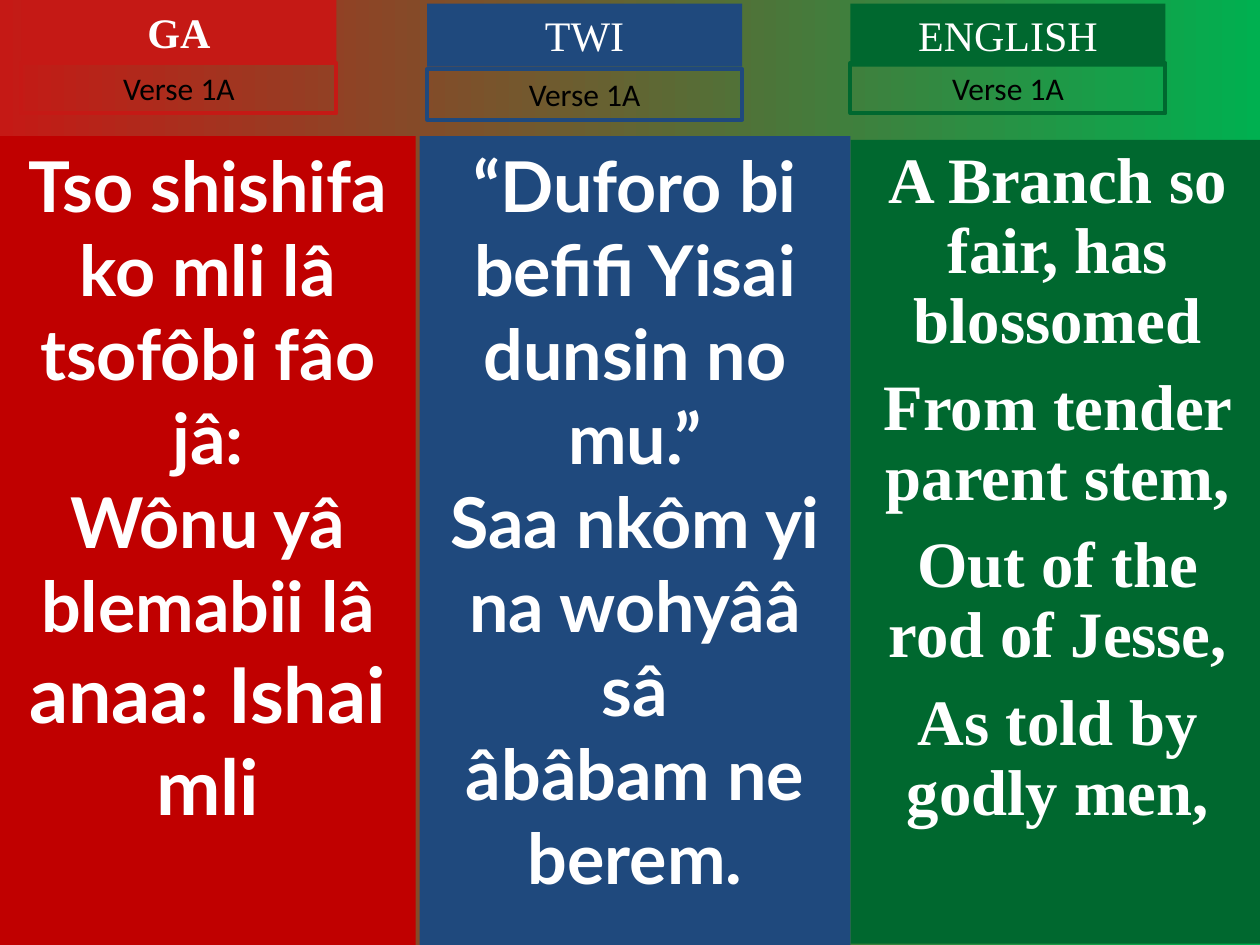
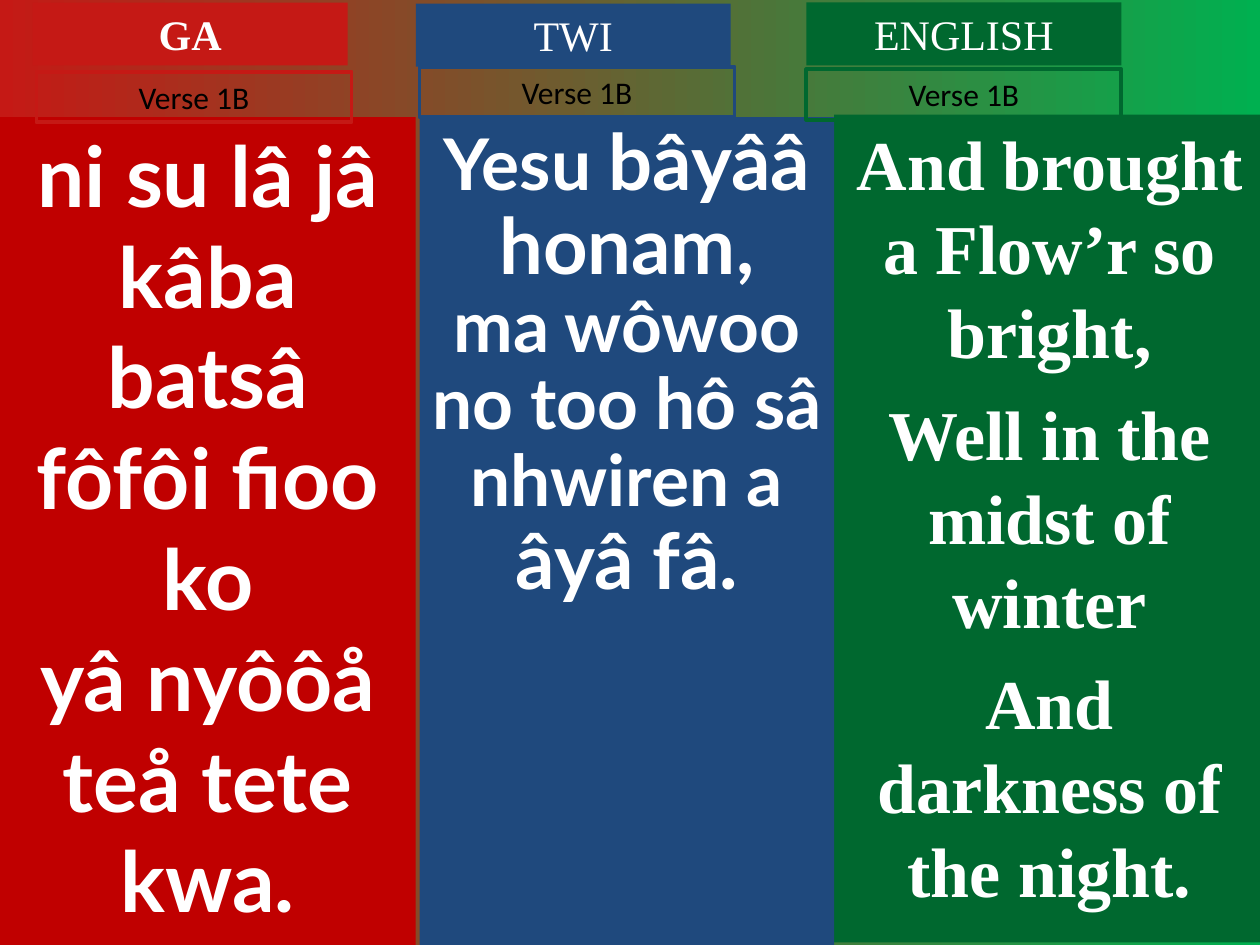
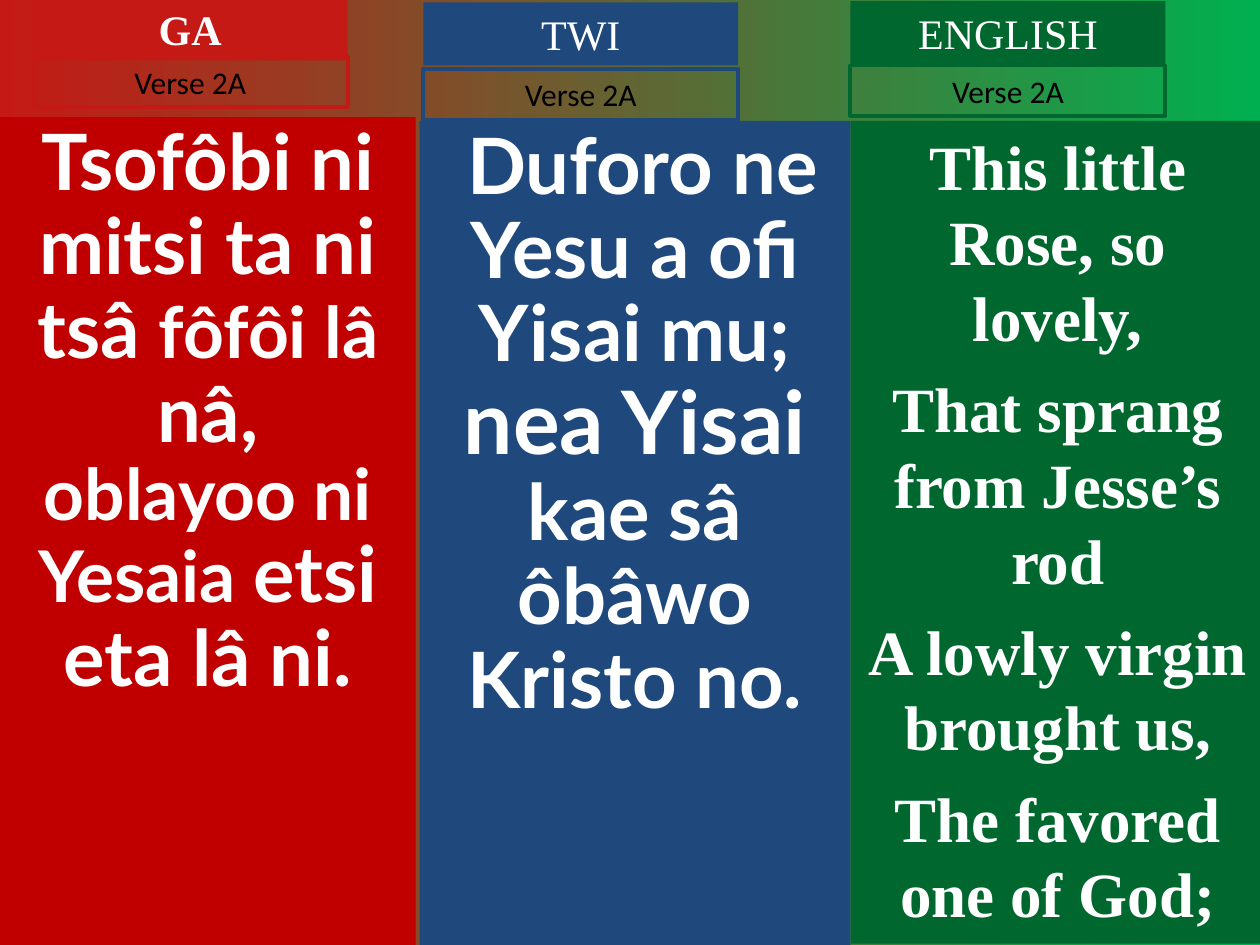
"""Build three hymn slides with the same verse in Ga, Twi and English."""
from dataclasses import dataclass

from lxml import etree
from pptx import Presentation
from pptx import util as u
from pptx.dml.color import RGBColor
from pptx.enum import shapes, text
from pptx.oxml.ns import qn


@dataclass(frozen=True)
class Theme:
    background: tuple = ("C51915", "00B050")
    tabs: tuple = ("C51915", "1F497D", "00682F")
    panels: tuple = ("C00000", "1F497D", "00682F")
    white: str = "FFFFFF"
    black: str = "000000"
    heading_font: str = "Times New Roman"
    verse_font: str = "Lato"
    label_font: str = "Calibri"
    heading_size: float = 24
    label_size: float = 18
    label_line: float = 2.25
    line_ratio: float = 1.2
    tab_width: float = 2.5
    heading_height: float = 0.5
    label_height: float = 0.4


class HymnDeck:
    columns, rows = 10, 7.5
    languages = ("GA", "TWI", "ENGLISH")

    def __init__(self, theme):
        self.theme = theme
        self.presentation = Presentation()
        self.presentation.slide_width = u.Inches(10)
        self.presentation.slide_height = u.Inches(7.5)
        self.slide = None

    def new_slide(self):
        self.slide = self.presentation.slides.add_slide(self.presentation.slide_layouts[1])
        fill = self.slide.background.fill
        fill.gradient()
        fill.gradient_angle = 0
        for stop, color in zip(fill.gradient_stops, self.theme.background):
            stop.color.rgb = RGBColor.from_string(color)

    def box(self, place, fill=None, line=None, placeholder=None):
        column = self.presentation.slide_width / self.columns
        row = self.presentation.slide_height / self.rows
        left, top, width, height = (
            round(share * unit) for share, unit in zip(place, (column, row, column, row)))
        if placeholder is None:
            shape = self.slide.shapes.add_shape(
                shapes.MSO_SHAPE.RECTANGLE, left, top, width, height)
            shape.shadow.inherit = False
        else:
            shape = placeholder
            shape.left, shape.top, shape.width, shape.height = left, top, width, height
        if fill:
            shape.fill.solid()
            shape.fill.fore_color.rgb = RGBColor.from_string(fill)
        else:
            shape.fill.background()
        if line:
            shape.line.color.rgb = RGBColor.from_string(line)
            shape.line.width = u.Pt(self.theme.label_line)
        else:
            shape.line.fill.background()
        frame = shape.text_frame
        frame.word_wrap = True
        frame.auto_size = text.MSO_AUTO_SIZE.NONE
        frame.vertical_anchor = text.MSO_ANCHOR.TOP
        return frame

    def style(self, paragraph, font, color, size=None, bold=False, indent=0):
        paragraph.alignment = text.PP_ALIGN.CENTER
        properties = paragraph._p.get_or_add_pPr()
        properties.set("marL", "0")
        properties.set("indent", str(u.Pt(indent)))
        etree.SubElement(properties, qn("a:buNone"))
        paragraph.font.name = font
        paragraph.font.bold = bold
        paragraph.font.color.rgb = RGBColor.from_string(color)
        if size:
            paragraph.font.size = u.Pt(size)

    def heading(self, language, left, top):
        theme = self.theme
        first = language == 0
        frame = self.box((left, top, theme.tab_width, theme.heading_height),
                         fill=theme.tabs[language],
                         placeholder=self.slide.shapes.title if first else None)
        frame.text = self.languages[language]
        self.style(frame.paragraphs[0], theme.heading_font, theme.white,
                   theme.heading_size, bold=first)

    def label(self, language, left, top, verse):
        theme = self.theme
        frame = self.box((left, top, theme.tab_width, theme.label_height),
                         line=theme.tabs[language])
        frame.text = verse
        self.style(frame.paragraphs[0], theme.label_font, theme.black, theme.label_size)

    def local_verse(self, language, place, lines, spacing=1.0, indent=0):
        frame = self.box(place, fill=self.theme.panels[language])
        for number, runs in enumerate(lines):
            paragraph = frame.add_paragraph() if number else frame.paragraphs[0]
            paragraph.line_spacing = spacing
            self.style(paragraph, self.theme.verse_font, self.theme.white,
                       bold=True, indent=0 if number else indent)
            for size, words in runs:
                run = paragraph.add_run()
                run.text = words
                run.font.size = u.Pt(size)

    def english_verse(self, place, lines, size, gap, spacing=1.0):
        frame = self.box(place, fill=self.theme.panels[2],
                         placeholder=self.slide.placeholders[1])
        for number, words in enumerate(lines):
            paragraph = frame.add_paragraph() if number else frame.paragraphs[0]
            paragraph.text = words
            paragraph.line_spacing = u.Pt(size * self.theme.line_ratio * spacing)
            paragraph.space_before = u.Pt(gap if number else 0)
            self.style(paragraph, self.theme.heading_font, self.theme.white, size, bold=True)

    def verse_slide(self, verse, headings, labels, ga, twi, english):
        self.new_slide()
        self.local_verse(0, **ga)
        self.local_verse(1, **twi)
        self.english_verse(**english)
        for language, (heading, label) in enumerate(zip(headings, labels)):
            self.heading(language, *heading)
            self.label(language, *label, verse)


VERSES = [
    dict(
        verse="Verse 1A",
        headings=[(0.17, 0), (3.39, 0.03), (6.75, 0.03)],
        labels=[(0.17, 0.5), (3.39, 0.55), (6.75, 0.5)],
        ga=dict(place=(0, 1.08, 3.3, 6.42), lines=[
            [(40, "Tso shishifa ko mli lâ tsofôbi fâo jâ:")],
            [(40, "Wônu yâ blemabii lâ")],
            [(44, "anaa: Ishai mli")]]),
        twi=dict(place=(3.33, 1.08, 3.42, 6.42), lines=[
            [(40, "“Duforo bi befifi Yisai dunsin no mu.”")],
            [(40, "Saa nkôm yi na wohyââ sâ")],
            [(40, "âbâbam ne berem.")]]),
        english=dict(place=(6.75, 1.11, 3.29, 6.38), size=37, gap=10, spacing=0.9, lines=[
            "A Branch so fair, has blossomed",
            "From tender parent stem,",
            "Out of the rod of Jesse,",
            "As told by godly men,"])),
    dict(
        verse="Verse 1B",
        headings=[(0.26, 0.02), (3.3, 0.03), (6.4, 0.02)],
        labels=[(0.29, 0.57), (3.33, 0.53), (6.4, 0.55)],
        ga=dict(place=(0, 0.93, 3.3, 6.57), lines=[
            [(48, "ni su lâ jâ kâba")],
            [(48, "batsâ fôfôi fioo ko")],
            [(48, "yâ nyôôå teå tete kwa.")]]),
        twi=dict(place=(3.33, 0.93, 3.29, 6.57), spacing=0.9, lines=[
            [(40.7, "Yesu "), (44.4, "bâyââ"), (40.7, " "), (44.4, "honam,")],
            [(40.7, "ma wôwoo no too hô sâ")],
            [(40.7, "nhwiren a "), (44.4, "âyâ fâ.")]]),
        english=dict(place=(6.62, 0.91, 3.42, 6.57), size=40, gap=10, lines=[
            "And brought a Flow’r so bright,",
            "Well in the midst of winter",
            "And darkness of the night."])),
    dict(
        verse="Verse 2A",
        headings=[(0.26, -0.02), (3.36, 0.02), (6.75, 0.01)],
        labels=[(0.26, 0.45), (3.36, 0.55), (6.75, 0.52)],
        ga=dict(place=(0, 0.93, 3.3, 6.57), spacing=0.9, lines=[
            [(44.4, "Tsofôbi ni mitsi ta ni tsâ "), (40.7, "fôfôi lâ "), (44.4, "nâ,")],
            [(40.7, "oblayoo ni Yesaia "), (44.4, "etsi eta lâ ni.")]]),
        twi=dict(place=(3.33, 0.96, 3.42, 6.54), spacing=0.9, indent=8.5, lines=[
            [(44.4, "Duforo ne Yesu a ofi Yisai mu;")],
            [(50, "nea Yisai "), (44.4, "kae sâ ôbâwo Kristo no.")]]),
        english=dict(place=(6.75, 0.96, 3.29, 6.53), size=36, gap=9, lines=[
            "This little Rose, so lovely,",
            "That sprang from Jesse’s rod",
            "A lowly virgin brought us,",
            "The favored one of God;"])),
]


def main():
    deck = HymnDeck(Theme())
    for verse in VERSES:
        deck.verse_slide(**verse)
    deck.presentation.save("out.pptx")


if __name__ == "__main__":
    main()
